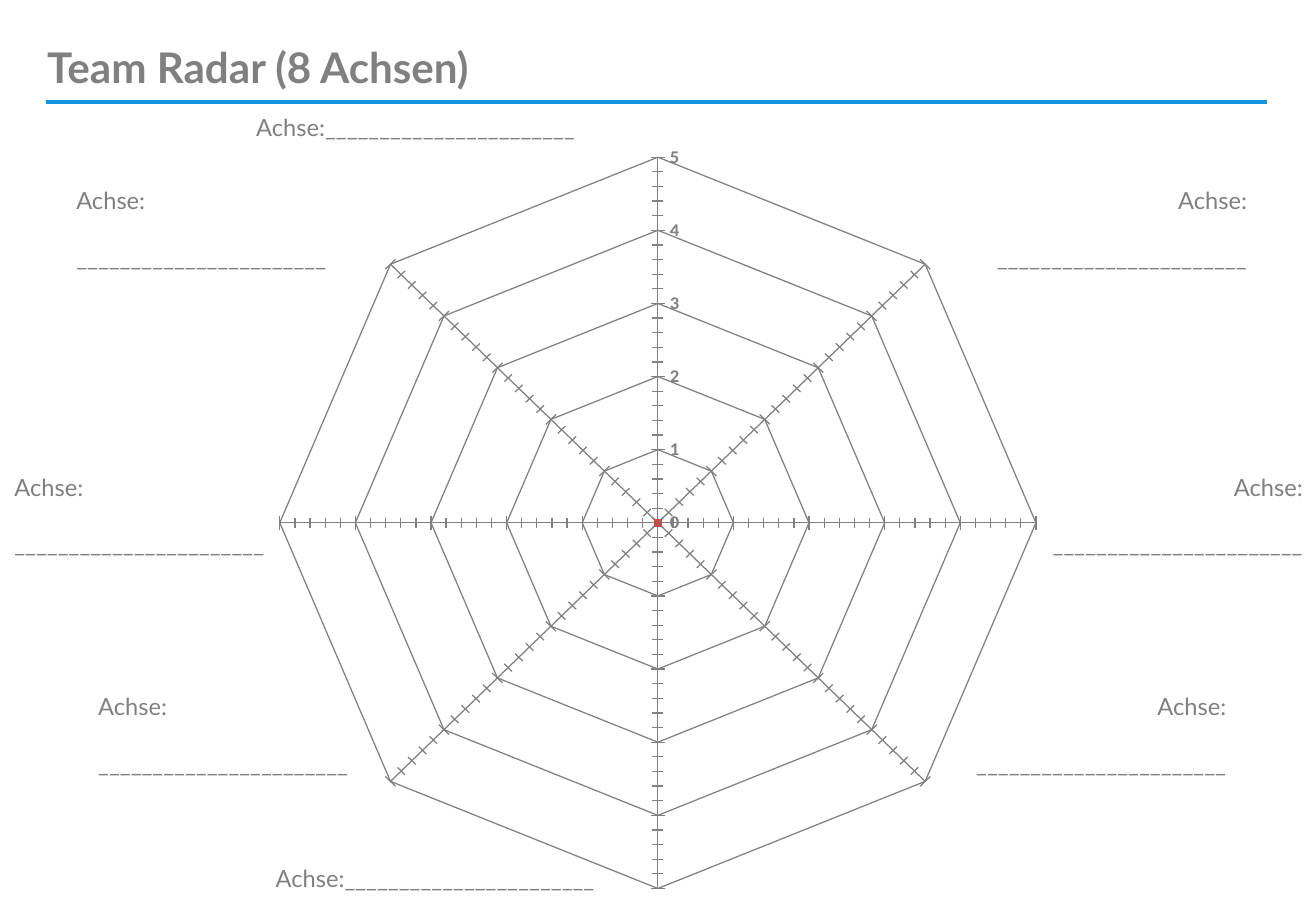
from lxml import etree
from pptx import Presentation
from pptx.chart.data import CategoryChartData
from pptx.dml.color import RGBColor
from pptx.enum.chart import XL_CHART_TYPE, XL_MARKER_STYLE, XL_TICK_MARK
from pptx.enum.shapes import MSO_CONNECTOR, MSO_SHAPE
from pptx.enum.text import MSO_ANCHOR, PP_ALIGN
from pptx.oxml import parse_xml
from pptx.oxml.ns import nsdecls, qn
from pptx.util import Inches, Pt

GRAY = RGBColor(0x80, 0x80, 0x80)
WHITE = RGBColor(0xFF, 0xFF, 0xFF)
RULE_BLUE = RGBColor(0x13, 0x96, 0xDE)
SERIES_COLORS = [RGBColor(0x4F, 0x81, 0xBD), RGBColor(0xC0, 0x50, 0x4D)]

RADAR = XL_CHART_TYPE.RADAR_MARKERS
SQUARE = XL_MARKER_STYLE.SQUARE
CROSS, OUTSIDE = XL_TICK_MARK.CROSS, XL_TICK_MARK.OUTSIDE
LEFT, RIGHT = PP_ALIGN.LEFT, PP_ALIGN.RIGHT
TOP, MIDDLE = MSO_ANCHOR.TOP, MSO_ANCHOR.MIDDLE
RECTANGLE, STRAIGHT = MSO_SHAPE.RECTANGLE, MSO_CONNECTOR.STRAIGHT

CAPTION = "Achse:"
BLANK_LINE = "_" * 23
# Labels at the sides: left, top, width, alignment
SIDE_LABELS = [
    (0.53, 1.48, 2.47, LEFT), (7.84, 1.48, 2.52, RIGHT),
    (0.02, 3.84, 2.47, LEFT), (8.3, 3.84, 2.52, RIGHT),
    (0.71, 5.65, 2.47, LEFT), (7.67, 5.65, 2.52, RIGHT),
]


def write(sp, lines, size=14, bold=False, align=LEFT, anchor=TOP,
          gap=0, line_spacing=None):
    tf = sp.text_frame
    tf.word_wrap = True
    tf.vertical_anchor = anchor
    for i, line in enumerate(lines):
        p = tf.add_paragraph() if i else tf.paragraphs[0]
        p.alignment = align
        if i:
            p.space_before = Pt(gap)
        if line_spacing:
            p.line_spacing = Pt(line_spacing)
        r = p.add_run()
        r.text = line
        r.font.name = "Lato"
        r.font.size = Pt(size)
        r.font.bold = bold
        r.font.color.rgb = GRAY


def add_header(s, x, y, w, h):
    # Title and the rule below it
    sp = s.shapes.add_textbox(Inches(x), Inches(y), Inches(w), Inches(h))
    write(sp, ["Team Radar (8 Achsen)"], size=25, bold=True, anchor=MIDDLE,
          line_spacing=27.3)
    rule_x, rule_y = x + 0.09, y + 0.76
    rule = s.shapes.add_connector(STRAIGHT, Inches(rule_x), Inches(rule_y),
                                  Inches(rule_x + 10.05), Inches(rule_y))
    rule.line.color.rgb = RULE_BLUE
    rule.line.width = Pt(2)
    etree.SubElement(rule._element.spPr, qn("a:effectLst"))


def set_plot_layout(chart, x, y, w, h):
    plot_area = chart._chartSpace.chart.plotArea
    for old in plot_area.findall(qn("c:layout")):
        plot_area.remove(old)
    sizes = "".join(f'<c:{tag} val="{val}"/>'
                    for tag, val in zip("xywh", (x, y, w, h)))
    plot_area.insert(0, parse_xml(
        f'<c:layout {nsdecls("c")}><c:manualLayout>'
        '<c:layoutTarget val="inner"/><c:xMode val="edge"/>'
        f'<c:yMode val="edge"/>{sizes}</c:manualLayout></c:layout>'))


def add_radar(s, x, y, w, h):
    data = CategoryChartData()
    data.categories = [" "] * 4 + [""] * 3 + [" "]
    for name in ("Series 1", "Series 2"):
        data.add_series(name, [0] * 8)
    chart = s.shapes.add_chart(RADAR, Inches(x), Inches(y), Inches(w),
                               Inches(h), data).chart
    chart.has_legend = False
    chart.has_title = False
    chart.font.name = "Calibri"
    chart.font.size = Pt(18)
    set_plot_layout(chart, 0.164, 0.062, 0.637, 0.83)

    # Series: all values sit in the centre
    plot = chart.plots[0]
    plot.vary_by_categories = False
    for series, color in zip(plot.series, SERIES_COLORS):
        series.format.line.color.rgb = color
        series.marker.style = SQUARE
        series.marker.size = 4
        series.marker.format.fill.solid()
        series.marker.format.fill.fore_color.rgb = color
        series.marker.format.line.color.rgb = color

    # Axes and grid
    for axis in (chart.category_axis, chart.value_axis):
        axis.has_major_gridlines = True
        for line in (axis.major_gridlines.format.line, axis.format.line):
            line.color.rgb = GRAY
            line.width = Pt(0.75)
    chart.category_axis.major_tick_mark = OUTSIDE
    scale = chart.value_axis
    scale.minimum_scale, scale.maximum_scale = 0, 5
    scale.major_unit, scale.minor_unit = 1, 0.2
    scale.major_tick_mark = scale.minor_tick_mark = CROSS
    font = scale.tick_labels.font
    font.size = Pt(11)
    font.bold = True
    font.color.rgb = GRAY
    scale.tick_labels.number_format = "0"
    scale.tick_labels.number_format_is_linked = False


def add_side_label(s, x, y, w, align):
    sp = s.shapes.add_textbox(Inches(x), Inches(y), Inches(w), Inches(0.81))
    write(sp, [CAPTION, BLANK_LINE], align=align, gap=16.8)


def add_top_label(s, x, y, w, h):
    sp = s.shapes.add_shape(RECTANGLE, Inches(x), Inches(y), Inches(w),
                            Inches(h))
    sp.shadow.inherit = False
    sp.fill.solid()
    sp.fill.fore_color.rgb = WHITE
    sp.line.fill.background()
    write(sp, [CAPTION + BLANK_LINE])


def add_bottom_label(s, x, y, w, h):
    # No fill, so the radar stays visible behind it
    sp = s.shapes.add_textbox(Inches(x), Inches(y), Inches(w), Inches(h))
    write(sp, [CAPTION + BLANK_LINE])


def main():
    prs = Presentation()
    prs.slide_width, prs.slide_height = Inches(10.83), Inches(7.5)
    s = prs.slides.add_slide(prs.slide_layouts[6])
    add_radar(s, 0.7, 0.6, 9.77, 7.5)
    add_header(s, 0.29, 0.08, 7.69, 0.97)
    for label in SIDE_LABELS:
        add_side_label(s, *label)
    add_top_label(s, 2.01, 0.88, 3.05, 0.34)
    add_bottom_label(s, 2.17, 7.06, 3.05, 0.34)
    prs.save("out.pptx")


if __name__ == "__main__":
    main()
